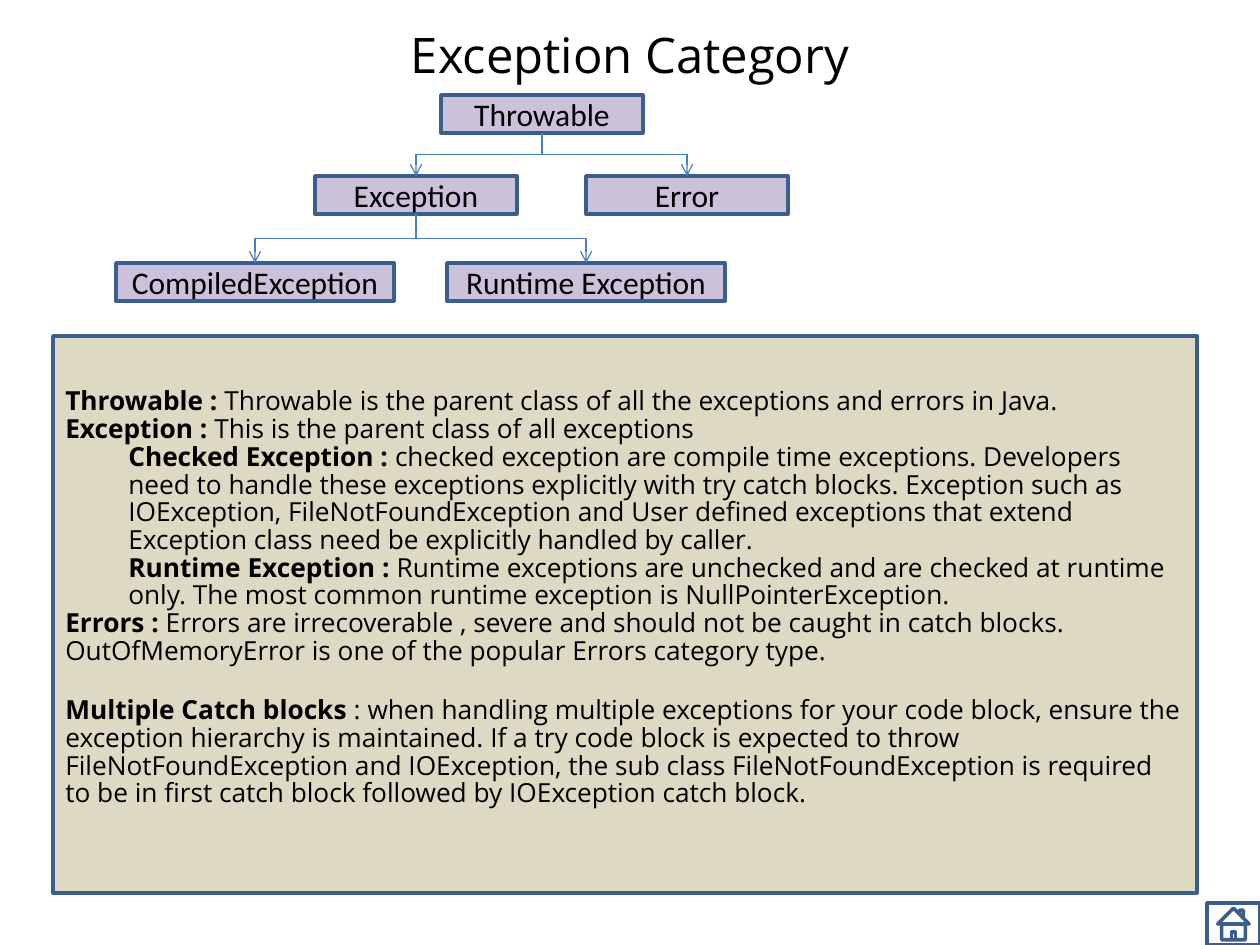
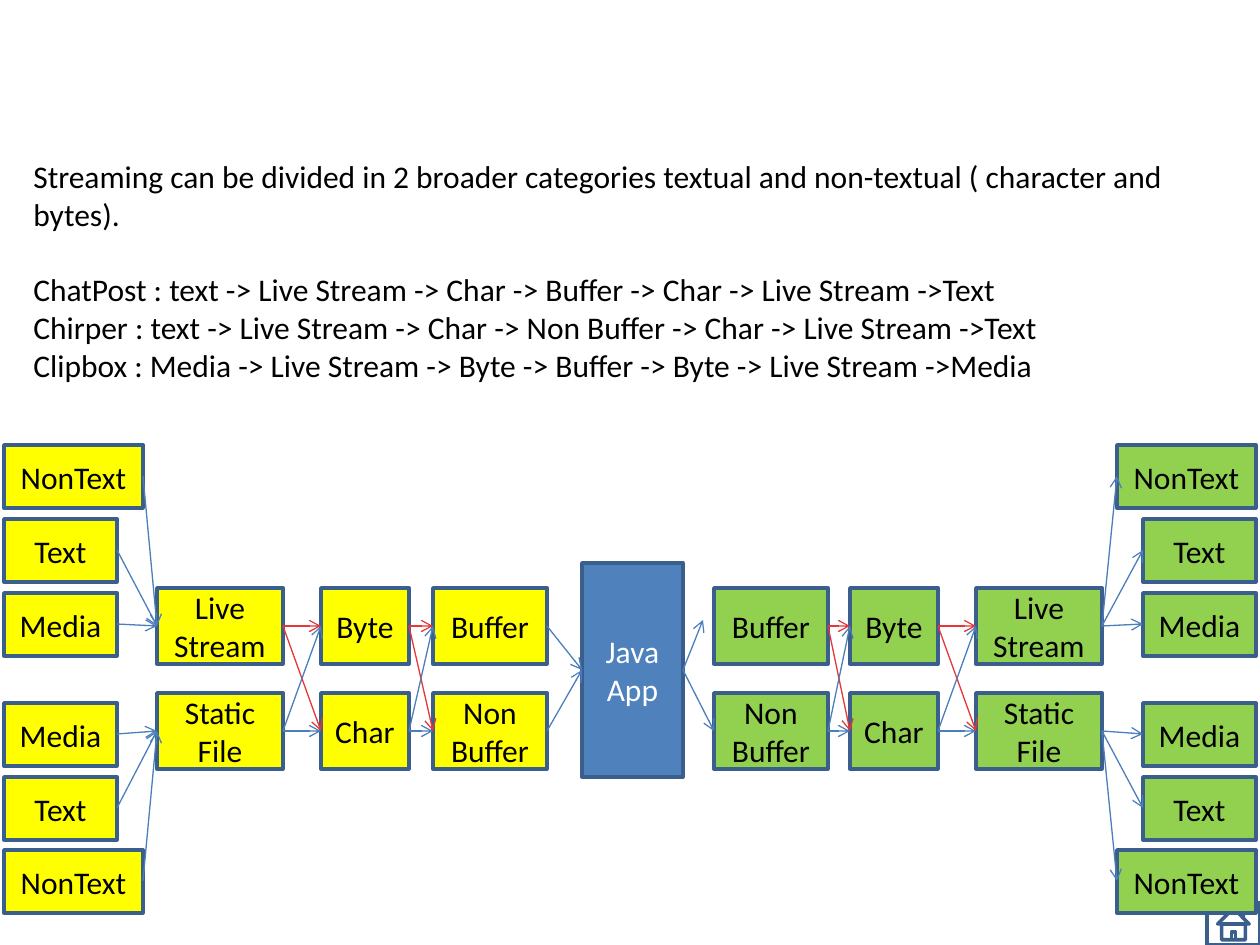
from dataclasses import dataclass
from itertools import pairwise, product

from lxml import etree
from pptx import Presentation
from pptx.dml.color import RGBColor
from pptx.enum.shapes import MSO_CONNECTOR, MSO_SHAPE
from pptx.enum.text import MSO_ANCHOR, PP_ALIGN
from pptx.oxml.ns import qn
from pptx.util import Pt

RECT, HOME = MSO_SHAPE.RECTANGLE, MSO_SHAPE.ACTION_BUTTON_HOME
LINE, ELBOW = MSO_CONNECTOR.STRAIGHT, MSO_CONNECTOR.ELBOW
LEFT, CENTER, MIDDLE = PP_ALIGN.LEFT, PP_ALIGN.CENTER, MSO_ANCHOR.MIDDLE
SCALE = 914400 / 126
BODY, HEAD = "Calibri", "Open Sans"
BLACK, WHITE, EDGE, BLUE, RED = "000000", "FFFFFF", "3A5F8C", "4B7EBC", "E63636"
LILAC, SAND, YELLOW, GREEN, STEEL = "CCC1DA", "DDD9C3", "FFFF00", "92D050", "4F81BD"
TURN = 5400000


@dataclass(frozen=True)
class Box:
    """A labelled rectangle, in pixels."""
    text: str
    x: int
    y: int
    w: int
    h: int
    fill: str
    ink: str = BLACK

    @property
    def west(self) -> tuple[int, int]:
        return self.x, self.y + self.h // 2

    @property
    def east(self) -> tuple[int, int]:
        return self.x + self.w, self.y + self.h // 2

    @property
    def north(self) -> tuple[int, int]:
        return self.x + self.w // 2, self.y

    @property
    def south(self) -> tuple[int, int]:
        return self.x + self.w // 2, self.y + self.h


@dataclass(frozen=True)
class Note:
    """A bold term with its meaning."""
    term: str
    text: str
    indent: bool = False
    gap: int = 0


def px(*sizes: float) -> list[int]:
    return [round(size * SCALE) for size in sizes]


def color(code: str) -> RGBColor:
    return RGBColor.from_string(code)


def style(par, size: float, face: str = BODY, ink: str = BLACK, align=CENTER) -> None:
    par.alignment = align
    par.font.size, par.font.name = Pt(size), face
    par.font.color.rgb = color(ink)


def frame(slide, kind, x: int, y: int, w: int, h: int, fill: str = ""):
    shape = slide.shapes.add_shape(kind, *px(x, y, w, h))
    shape.shadow.inherit = False
    if fill:
        shape.fill.solid()
        shape.fill.fore_color.rgb = color(fill)
    else:
        shape.fill.background()
    shape.line.color.rgb = color(EDGE)
    shape.line.width = Pt(2)
    return shape


def draw(slide, box: Box) -> None:
    text = frame(slide, RECT, box.x, box.y, box.w, box.h, box.fill).text_frame
    text.text = box.text
    text.vertical_anchor = MIDDLE
    for par in text.paragraphs:
        style(par, 18, ink=box.ink)


def arrow(slide, start: tuple, end: tuple, ink: str = BLUE, kind=LINE):
    link = slide.shapes.add_connector(kind, *px(*start, *end))
    link.line.color.rgb = color(ink)
    link.line.width = Pt(0.75)
    etree.SubElement(link.line._get_or_add_ln(), qn("a:tailEnd"), type="arrow")
    etree.SubElement(link.element.spPr, qn("a:effectLst"))
    return link


def branch(slide, top: Box, low: Box) -> None:
    (x1, y1), (x2, y2) = top.south, low.north
    mid_x, mid_y = (x1 + x2) / 2, (y1 + y2) / 2
    side = 1 if x2 > x1 else -1
    run, rise = side * (y2 - y1) / 2, abs(x2 - x1) / 2
    link = arrow(slide, (mid_x + run, mid_y - rise), (mid_x - run, mid_y + rise), kind=ELBOW)
    link.element.spPr.find(qn("a:xfrm")).set("rot", str(TURN if side < 0 else 3 * TURN))


def start(deck, layout: int):
    slide = deck.slides.add_slide(deck.slide_layouts[layout])
    frame(slide, HOME, 1207, 903, 53, 42)
    return slide


def write(slide, notes: list[Note]) -> None:
    text = frame(slide, RECT, 53, 336, 1144, 557, SAND).text_frame
    text.vertical_anchor = MIDDLE
    text.margin_bottom = px(38)[0]
    for i, note in enumerate(notes):
        par = text.paragraphs[0] if i == 0 else text.add_paragraph()
        style(par, 15, HEAD, align=LEFT)
        par.line_spacing = 0.88
        par.space_before = Pt(note.gap)
        if note.indent:
            props = par._p.get_or_add_pPr()
            props.set("marL", "457200")
            props.set("indent", "0")
        for words, bold in ((note.term, True), (note.text, False)):
            run = par.add_run()
            run.text, run.font.bold = words, bold


def errors(deck) -> None:
    slide = start(deck, 5)
    title = slide.shapes.title
    title.left, title.top, title.width, title.height = px(63, 5, 1134, 98)
    title.text_frame.text = "Exception Category"
    title.text_frame.vertical_anchor = MIDDLE
    style(title.text_frame.paragraphs[0], 28, HEAD)
    write(slide, [
        Note("Throwable : ", "Throwable is the parent class of all the exceptions and errors in Java."),
        Note("Exception : ", "This is the parent class of all exceptions"),
        Note("Checked Exception : ", "checked exception are compile time exceptions. Developers need to "
             "handle these exceptions explicitly with try catch blocks. Exception such as IOException, "
             "FileNotFoundException and User defined exceptions that extend Exception class need be "
             "explicitly handled by caller.", True),
        Note("Runtime Exception : ", "Runtime exceptions are unchecked and are checked at runtime only. "
             "The most common runtime exception is NullPointerException.", True),
        Note("Errors : ", "Errors are irrecoverable , severe and should not be caught in catch blocks. "
             "OutOfMemoryError is one of the popular Errors category type."),
        Note("Multiple Catch blocks ", ": when handling multiple exceptions for your code block, ensure "
             "the exception hierarchy is maintained. If a try code block is expected to throw "
             "FileNotFoundException and IOException, the sub class FileNotFoundException is required to "
             "be in first catch block followed by IOException catch block.", gap=18),
    ])
    root, fault, error, live, built = tree = [
        Box(text, x, y, w, 38, LILAC) for text, x, y, w in (
            ("Throwable", 441, 95, 202), ("Exception", 315, 176, 202), ("Error", 586, 176, 202),
            ("Runtime Exception", 447, 263, 278), ("CompiledException", 116, 263, 278))]
    for box in tree:
        draw(slide, box)
    for top, low in ((root, fault), (root, error), (fault, built), (fault, live)):
        branch(slide, top, low)


def stage(top: str, low: str, x: int, w: int, fill: str) -> list[Box]:
    return [Box(text, x, y, w, 76, fill) for text, y in ((top, 588), (low, 693))]


def leaves(fill: str, right: bool) -> list[Box]:
    rows = (("NonText", 445), ("Text", 519), ("Media", 593),
            ("Media", 703), ("Text", 777), ("NonText", 850))
    sizes = [139 if text == "NonText" else 113 for text, _ in rows]
    return [Box(text, 1256 - w if right else 4, y, w, 63, fill)
            for (text, y), w in zip(rows, sizes)]


def streams(deck) -> None:
    slide = start(deck, 6)
    feed, sink = leaves(YELLOW, False), leaves(GREEN, True)
    port, form, store = ("Live\nStream", "Static\nFile"), ("Byte", "Char"), ("Buffer", "Non\nBuffer")
    reads = [stage(*names, x, w, YELLOW)
             for names, x, w in ((port, 157, 126), (form, 321, 88), (store, 433, 114))]
    sends = [stage(*names, x, w, GREEN)
             for names, x, w in ((store, 714, 114), (form, 850, 88), (port, 976, 126))]
    app = Box("Java\nApp", 582, 563, 101, 214, STEEL, WHITE)
    for box in (*feed, *sink, app, *sum(reads + sends, [])):
        draw(slide, box)
    for i, (origin, goal) in enumerate(zip(feed, sink)):
        arrow(slide, origin.east, reads[0][i // 3].west)
        arrow(slide, sends[-1][i // 3].east, goal.west)
    for stages in (reads, sends):
        for near, far in pairwise(stages):
            for origin, goal in product(near, far):
                arrow(slide, origin.east, goal.west, RED if origin is near[0] else BLUE)
    for box in reads[-1]:
        arrow(slide, box.east, app.west)
    for goal in ((703, 620), sends[0][1].west):
        arrow(slide, app.east, goal)
    text = slide.shapes.add_textbox(*px(21, 151, 1210, 280)).text_frame
    text.word_wrap = True
    text.text = "\n".join((
        "Streaming can be divided in 2 broader categories textual and non-textual ( character and bytes).",
        "ChatPost : text -> Live Stream -> Char -> Buffer -> Char -> Live Stream ->Text",
        "Chirper : text -> Live Stream -> Char -> Non Buffer -> Char -> Live Stream ->Text",
        "Clipbox : Media -> Live Stream -> Byte -> Buffer -> Byte -> Live Stream ->Media"))
    for par in text.paragraphs:
        style(par, 18, align=LEFT)
    text.paragraphs[1].space_before = Pt(21.5)


def main() -> None:
    deck = Presentation()
    deck.slide_width, deck.slide_height = px(1260, 945)
    errors(deck)
    streams(deck)
    deck.save("out.pptx")


main()
